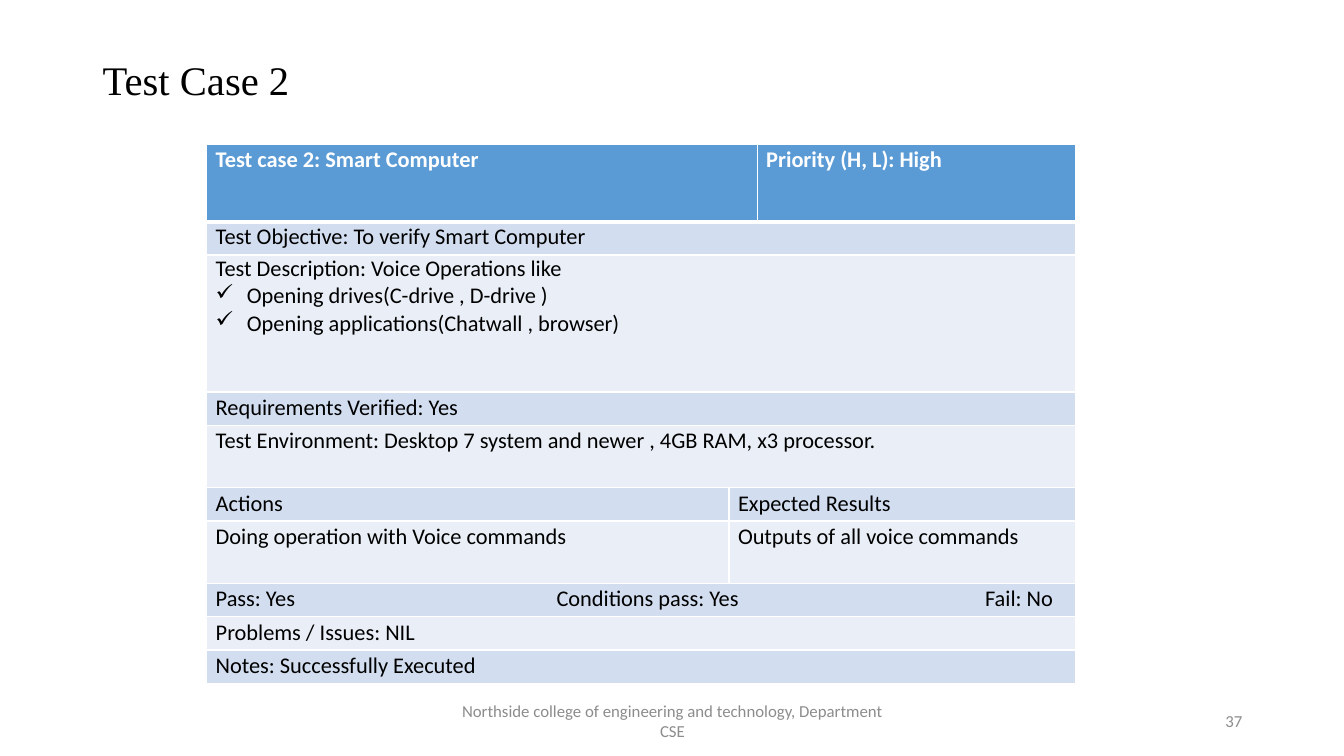
from dataclasses import dataclass

from lxml import etree
from pptx import Presentation, util as u
from pptx.dml.color import RGBColor
from pptx.enum import text
from pptx.oxml.ns import qn


@dataclass(frozen=True)
class Theme:
    heading_font: str = "Times New Roman"
    body_font: str = "Calibri"
    ink: str = "000000"
    white: str = "FFFFFF"
    muted: str = "8C8C8C"
    header: str = "5B9BD5"
    bands: tuple = ("D2DEEF", "EAEFF7")
    title_size: int = 29
    table_size: int = 16
    footer_size: int = 12


class Deck:
    def __init__(self, prs, theme):
        self.theme = theme
        self.slide = prs.slides.add_slide(prs.slide_layouts[6])

    def run(self, p, words, size, color, font=None, bold=False):
        r = p.add_run()
        r.text = words
        r.font.size = u.Pt(size)
        r.font.name = font or self.theme.body_font
        r.font.bold = bold
        r.font.color.rgb = RGBColor.from_string(color)

    def label(self, box, words, size, color, align, font=None, spacing=1.0):
        sp = self.slide.shapes.add_textbox(*map(u.Inches, box))
        tf = sp.text_frame
        tf.word_wrap = True
        tf.vertical_anchor = text.MSO_ANCHOR.MIDDLE
        p = tf.paragraphs[0]
        p.alignment = align
        p.line_spacing = spacing
        self.run(p, words, size, color, font)

    def borders(self, cell, bottom):
        tcPr = cell._tc.get_or_add_tcPr()
        for side, width in (("L", 1), ("R", 1), ("T", 1), ("B", bottom)):
            ln = etree.SubElement(tcPr, qn(f"a:ln{side}"), w=str(u.Pt(width)))
            fill = etree.SubElement(ln, qn("a:solidFill"))
            etree.SubElement(fill, qn("a:srgbClr"), val=self.theme.white)

    def bullet(self, p, mark, indent):
        pPr = p._p.get_or_add_pPr()
        pPr.set("marL", str(u.Inches(indent)))
        pPr.set("indent", str(-u.Inches(indent)))
        etree.SubElement(pPr, qn("a:buChar"), char=mark)

    def tabs(self, p, stops):
        tab_list = etree.SubElement(p._p.get_or_add_pPr(), qn("a:tabLst"))
        for stop in stops:
            etree.SubElement(tab_list, qn("a:tab"), pos=str(u.Inches(stop)), algn="l")

    def fill_cell(self, cell, lines, fill, header):
        t = self.theme
        cell.margin_left = cell.margin_right = u.Inches(0.09)
        cell.margin_top = cell.margin_bottom = 0
        tf = cell.text_frame
        for i, line in enumerate(lines):
            p = tf.paragraphs[0] if i == 0 else tf.add_paragraph()
            p.line_spacing = 1.07 if len(lines) == 1 else 1.0
            if i:
                self.bullet(p, "✓", 0.31)
            if "\t" in line:
                self.tabs(p, (3.38, 7.63))
            self.run(p, line, t.table_size, t.white if header else t.ink, bold=header)
        cell.fill.solid()
        cell.fill.fore_color.rgb = RGBColor.from_string(fill)

    def table(self, left, top, widths, rows):
        t = self.theme
        heights = [height for height, _ in rows]
        frame = self.slide.shapes.add_table(
            len(rows), len(widths), u.Inches(left), u.Inches(top),
            u.Inches(sum(widths)), u.Inches(sum(heights)))
        tbl = frame.table
        tbl.horz_banding = False
        for column, width in zip(tbl.columns, widths):
            column.width = u.Inches(width)
        last = len(widths) - 1
        for i, (height, cells) in enumerate(rows):
            tbl.rows[i].height = u.Inches(height)
            for cell in tbl.rows[i].cells:
                self.borders(cell, 1 if i else 3)
            starts = sorted(cells)
            ends = [start - 1 for start in starts[1:]] + [last]
            for start, end in zip(starts, ends):
                cell = tbl.cell(i, start)
                if end > start:
                    cell.merge(tbl.cell(i, end))
                fill = t.bands[(i - 1) % 2] if i else t.header
                self.fill_cell(cell, cells[start], fill, i == 0)


LINE, TALL = 0.33, 0.62
TEST_CASE = [
    (0.77, {0: ["Test case 2: Smart Computer"], 2: ["Priority (H, L): High"]}),
    (LINE, {0: ["Test Objective: To verify Smart Computer"]}),
    (1.36, {0: ["Test Description: Voice Operations like",
                "Opening drives(C-drive , D-drive )",
                "Opening applications(Chatwall , browser)"]}),
    (LINE, {0: ["Requirements Verified: Yes"]}),
    (TALL, {0: ["Test Environment: Desktop 7 system and newer , 4GB RAM, x3 processor."]}),
    (LINE, {0: ["Actions"], 1: ["Expected Results"]}),
    (TALL, {0: ["Doing operation with Voice commands"], 1: ["Outputs of all voice commands"]}),
    (LINE, {0: ["Pass: Yes\tConditions pass: Yes\tFail: No"]}),
    (LINE, {0: ["Problems / Issues: NIL"]}),
    (LINE, {0: ["Notes: Successfully Executed"]}),
]

prs = Presentation()
prs.slide_width, prs.slide_height = u.Inches(13.33), u.Inches(7.5)
theme = Theme()
deck = Deck(prs, theme)
align = text.PP_ALIGN

deck.label((0.92, 0.4, 11.5, 0.84), "Test Case 2", theme.title_size, theme.ink,
           align.LEFT, theme.heading_font, 0.9)
deck.table(2.05, 1.43, (5.18, 0.28, 3.16), TEST_CASE)
deck.label((4.42, 6.95, 4.5, 0.4),
           "Northside college of engineering and technology, Department CSE",
           theme.footer_size, theme.muted, align.CENTER)
deck.label((9.42, 6.95, 3, 0.4), "37", theme.footer_size, theme.muted, align.RIGHT)

prs.save("out.pptx")
